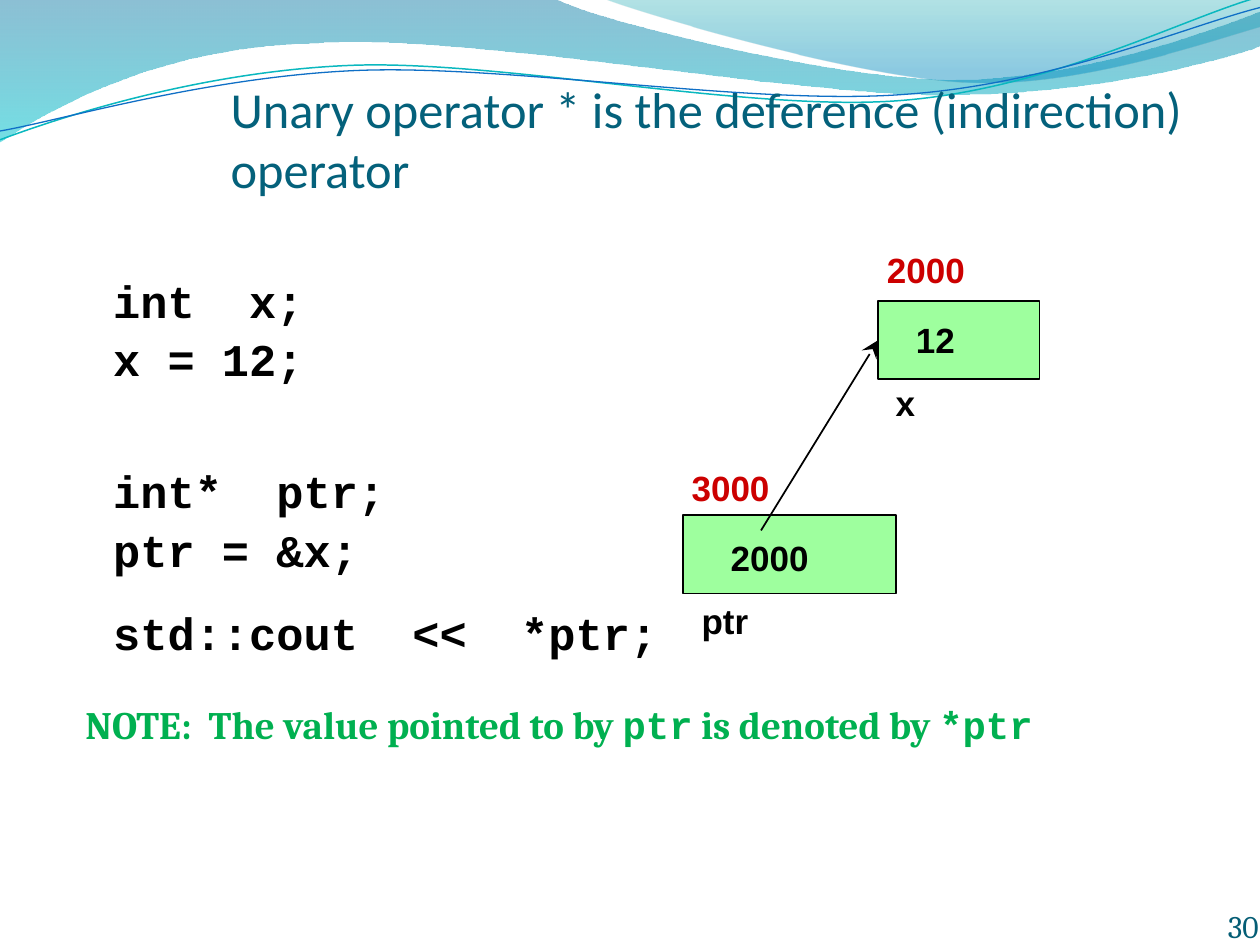
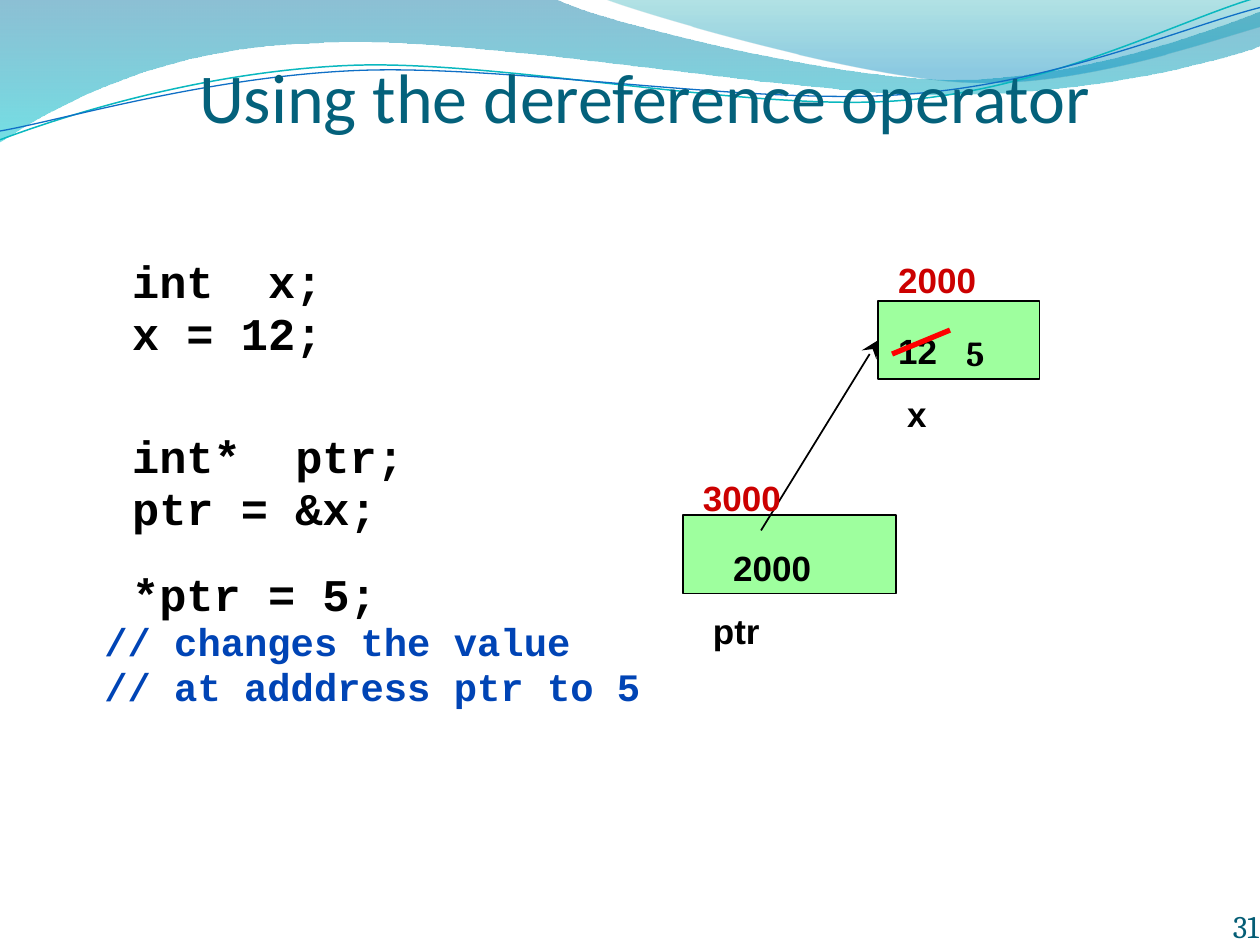
"""Builds two slides on the pointer dereference operator."""
from dataclasses import dataclass
from itertools import chain, islice

from lxml.etree import SubElement
from pptx import Presentation
from pptx.dml.color import RGBColor
from pptx.enum.shapes import MSO_CONNECTOR as Connector, MSO_SHAPE as Shape
from pptx.enum.text import MSO_ANCHOR as Anchor, MSO_AUTO_SIZE as AutoSize, PP_ALIGN as Align
from pptx.oxml.ns import qn
from pptx.util import Inches, Pt


@dataclass(frozen=True)
class Theme:
    title: str = "04617B"
    number: str = "045D75"
    ink: str = "000000"
    address: str = "CC0000"
    cell: str = "9EFF9E"
    note: str = "00B050"
    comment: str = "0044B5"
    strike: str = "FF0000"
    heading_font: str = "Calibri"
    text_font: str = "Cambria"
    code_font: str = "Courier New"
    label_font: str = "Arial"
    code_size: float = 25.9
    note_size: float = 22.2
    label_size: float = 20
    number_size: float = 18


THEME = Theme()
WIDTH, HEIGHT = 10, 7.5
FIRST_NUMBER = 30
CODE_INDENT = 0.22

BANDS = [
    {"start": (0, 0),
     "path": [[(4.4, -0.01)],
              [(4.76, 0.17), (6.64, 0.63), (7.58, 0.63)],
              [(8.53, 0.63), (9.58, 0.26), (10, 0.09)],
              [(10.01, 0.36)],
              [(9.83, 0.44), (8.7, 0.76), (7.46, 0.75)],
              [(6.22, 0.75), (3.82, 0.28), (2.57, 0.34)],
              [(1.29, 0.36), (0.46, 0.83), (-0.01, 1.13)],
              [(0, 0)]],
     "stops": [(0, "0074A1", 45), (1, "00C6CF", 55)]},
    {"start": (4.79, -0.01),
     "path": [[(5.09, 0.11), (6.82, 0.62), (7.69, 0.65)],
              [(8.56, 0.69), (9.61, 0.32), (10, 0.21)],
              [(10, 0)],
              [(4.79, -0.01)]],
     "stops": [(0, "00A1A9", 30), (0.8, "008BBF", 45)]},
    {"start": (0, 1.11),
     "path": [[(0.48, 0.93), (1.58, 0.57), (2.77, 0.52)],
              [(3.95, 0.47), (5.93, 0.89), (7.13, 0.8)],
              [(8.33, 0.71), (9.38, 0.15), (9.98, -0.02)]],
     "line": ("0AB8BF", 0.85)},
    {"start": (0, 1.04),
     "path": [[(0.47, 0.96), (1.64, 0.61), (2.83, 0.56)],
              [(4.03, 0.51), (5.97, 0.84), (7.17, 0.75)],
              [(8.36, 0.67), (9.41, 0.21), (10, 0.06)]],
     "line": ("0F6FC6", 0.75)},
]

X_CELL = (6.97, 2.39, 1.28, 0.62)
PTR_CELL = (5.42, 4.09, 1.69, 0.62)
ARROW_START = (6.04, 4.21)

SLIDES = [
    {"title": "Unary operator * is the deference (indirection) operator",
     "title_box": (1.83, 0.5, 8.17, 1.08), "title_size": 28.8,
     "body_box": (0.58, 2.17, 8.6, 4.65), "spacing": 0.9,
     "code": [("int  x;", 6), ("x = 12;", 5.2), ("int*  ptr;", 47.5),
              ("ptr = &x;", 5.2), ("std::cout  <<  *ptr;", 19.5)],
     "note": [("NOTE:  The value pointed to by ", THEME.text_font), ("ptr", THEME.code_font),
              (" is denoted by ", THEME.text_font), ("*ptr", THEME.code_font)],
     "labels_box": (5.39, 1.92, 3.75, 3.57), "value_indents": (1.78, 0.31)},
    {"title": "Using the dereference operator",
     "title_box": (1.58, 0.53, 8, 0.56), "title_size": 40,
     "body_box": (0.73, 2.04, 8.6, 4.65), "spacing": 0.8,
     "code": [("int  x;", 6), ("x = 12;", 5.2), ("int*  ptr;", 45),
              ("ptr = &x;", 5.2), ("*ptr = 5;", 24)],
     "comments": ["// changes the value", "// at adddress ptr to 5"],
     "labels_box": (5.48, 2, 3.75, 3.6), "value_indents": (1.55, 0.24),
     "strike": ((7.08, 2.81), (7.54, 2.62)),
     "new_value": ("5", (7.57, 2.58, 0.36, 0.44))},
]


def rgb(colour):
    """Turn a hex string into a colour."""
    return RGBColor.from_string(colour)


def place(lengths):
    """Turn inches into slide units."""
    return [Inches(length) for length in lengths]


def set_font(font, name, size, colour, bold=False):
    """Format a font."""
    font.name, font.size, font.bold = name, Pt(size), bold
    font.color.rgb = rgb(colour)


def set_insets(frame, left, top, right, bottom):
    """Set the four insets of a text frame."""
    frame.margin_left, frame.margin_top, frame.margin_right, frame.margin_bottom = place(
        (left, top, right, bottom))


def add_frame(slide, box, wrap=True):
    """Add a text box and return its frame."""
    frame = slide.shapes.add_textbox(*place(box)).text_frame
    frame.word_wrap = wrap
    return frame


def add_line_of_text(frame, before, indent=0, spacing=1.0):
    """Return the next paragraph of a frame, spaced and indented."""
    used = len(frame.paragraphs) > 1 or frame.paragraphs[0].runs
    paragraph = frame.add_paragraph() if used else frame.paragraphs[0]
    paragraph.space_before, paragraph.line_spacing = Pt(before), spacing
    paragraph._p.get_or_add_pPr().set("marL", str(Inches(indent)))
    return paragraph


def bend(wave, path):
    """Join each three corners of a curved segment into one cubic curve."""
    corners = iter(list(wave.element.iter(qn("a:lnTo"))))
    for segment in path:
        first, *others = islice(corners, len(segment))
        if others:
            first.tag = qn("a:cubicBezTo")
            for corner in others:
                first.append(corner[0])
                corner.getparent().remove(corner)


def add_bands(slide, layout):
    """Draw the wave bands and move them to the layout."""
    for order, band in enumerate(BANDS):
        builder = slide.shapes.build_freeform(*place(band["start"]))
        corners = [place(corner) for corner in chain.from_iterable(band["path"])]
        builder.add_line_segments(corners, close="stops" in band)
        wave = builder.convert_to_shape()
        bend(wave, band["path"])
        wave.shadow.inherit = False
        if "stops" in band:
            wave.line.fill.background()
            wave.fill.gradient()
            wave.fill.gradient_angle = 270
            for stop, (position, colour, _) in zip(wave.fill.gradient_stops, band["stops"]):
                stop.position, stop.color.rgb = position, rgb(colour)
            tints = wave.element.spPr.iter(qn("a:srgbClr"))
            for tint, (_, _, opacity) in zip(tints, band["stops"]):
                SubElement(tint, qn("a:alpha")).set("val", str(opacity * 1000))
        else:
            colour, weight = band["line"]
            wave.fill.background()
            wave.line.color.rgb, wave.line.width = rgb(colour), Pt(weight)
        wave.element.nvSpPr.cNvPr.set("id", str(20 + order))
        layout.shapes.element.insert(2 + order, wave.element)


def add_title(slide, content):
    """Fill and format the title placeholder."""
    title = slide.shapes.title
    title.left, title.top, title.width, title.height = place(content["title_box"])
    frame = title.text_frame
    frame.text = content["title"]
    frame.auto_size, frame.vertical_anchor = AutoSize.NONE, Anchor.BOTTOM
    set_insets(frame, 0, 0.05, 0, 0)
    heading = frame.paragraphs[0]
    heading.alignment = Align.LEFT
    set_font(heading.font, THEME.heading_font, content["title_size"], THEME.title)


def add_body(slide, content):
    """Add the code with its comments or note."""
    frame = add_frame(slide, content["body_box"])
    spacing = content["spacing"]
    for code, before in content["code"]:
        line = add_line_of_text(frame, before, CODE_INDENT, spacing)
        line.add_run().text = code
        set_font(line.font, THEME.code_font, THEME.code_size, THEME.ink, True)
    for comment in content.get("comments", []):
        line = add_line_of_text(frame, 4, 0, spacing)
        line.add_run().text = comment
        set_font(line.font, THEME.code_font, THEME.note_size, THEME.comment, True)
    if "note" in content:
        line = add_line_of_text(frame, 26.5, 0, spacing)
        for words, font_name in content["note"]:
            part = line.add_run()
            part.text = words
            set_font(part.font, font_name, THEME.note_size, THEME.note, True)


def add_stroke(slide, start, end, colour, weight):
    """Add a straight line without a shadow."""
    stroke = slide.shapes.add_connector(Connector.STRAIGHT, *place((*start, *end)))
    stroke.line.color.rgb, stroke.line.width = rgb(colour), Pt(weight)
    SubElement(stroke.element.spPr, qn("a:effectLst"))
    return stroke


def add_cell(slide, box):
    """Add a memory cell."""
    cell = slide.shapes.add_shape(Shape.RECTANGLE, *place(box))
    cell.shadow.inherit = False
    cell.fill.solid()
    cell.fill.fore_color.rgb = rgb(THEME.cell)
    cell.line.color.rgb, cell.line.width = rgb(THEME.ink), Pt(1)
    return cell


def add_memory(slide, content):
    """Add the two cells, the pointer arrow and the labels."""
    x_cell = add_cell(slide, X_CELL)
    add_cell(slide, PTR_CELL)
    x_side = (X_CELL[0], X_CELL[1] + X_CELL[3] / 2)
    pointer = add_stroke(slide, ARROW_START, x_side, THEME.ink, 1)
    pointer.end_connect(x_cell, 1)
    head = SubElement(pointer.element.spPr.find(qn("a:ln")), qn("a:tailEnd"))
    for trait, value in (("type", "stealth"), ("w", "lg"), ("len", "lg")):
        head.set(trait, value)

    x_indent, ptr_indent = content["value_indents"]
    labels = [("2000", 1.55, 0, THEME.address), ("12", x_indent, 16.5, THEME.ink),
              ("x", 1.62, 12, THEME.ink), ("3000", 0, 24, THEME.address),
              ("2000", ptr_indent, 16.5, THEME.ink), ("ptr", 0.08, 12, THEME.ink)]
    frame = add_frame(slide, content["labels_box"])
    for label, indent, before, colour in labels:
        line = add_line_of_text(frame, before, indent)
        line.add_run().text = label
        set_font(line.font, THEME.label_font, THEME.label_size, colour, True)

    if "strike" in content:
        add_stroke(slide, *content["strike"], THEME.strike, 3)
        value, box = content["new_value"]
        line = add_frame(slide, box, wrap=False).paragraphs[0]
        line.add_run().text = value
        set_font(line.font, THEME.text_font, THEME.label_size, THEME.ink, True)


def add_number(slide, number):
    """Add the slide number in the bottom right corner."""
    frame = add_frame(slide, (7.91, HEIGHT - 0.5, 2.08, 0.5))
    frame.vertical_anchor = Anchor.BOTTOM
    set_insets(frame, 0, 0, 0, 0)
    line = frame.paragraphs[0]
    line.add_run().text = str(number)
    line.alignment = Align.RIGHT
    set_font(line.font, THEME.text_font, THEME.number_size, THEME.number)


def main():
    """Build and save the slides."""
    deck = Presentation()
    deck.slide_width, deck.slide_height = place((WIDTH, HEIGHT))
    layout = deck.slide_layouts[5]
    for number, content in enumerate(SLIDES, FIRST_NUMBER):
        slide = deck.slides.add_slide(layout)
        if number == FIRST_NUMBER:
            add_bands(slide, layout)
        add_title(slide, content)
        add_body(slide, content)
        add_memory(slide, content)
        add_number(slide, number)
    deck.save("out.pptx")


if __name__ == "__main__":
    main()
